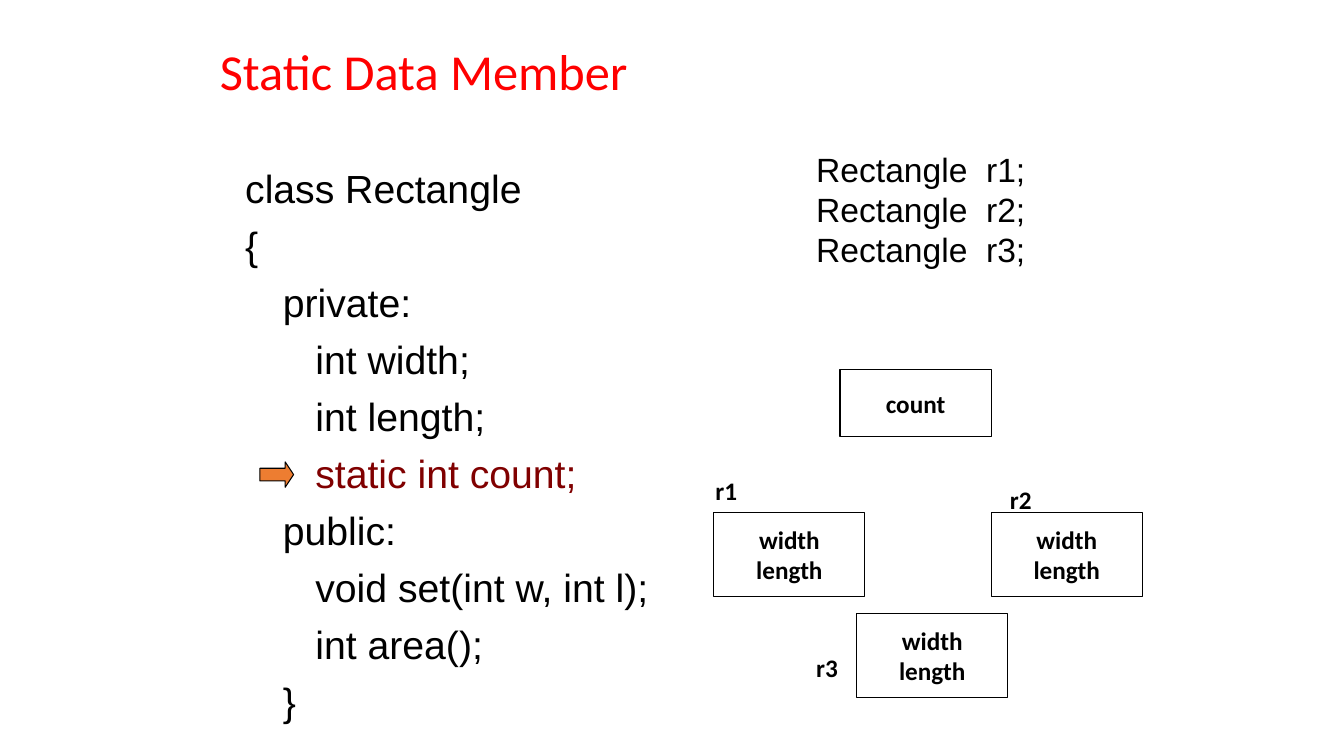
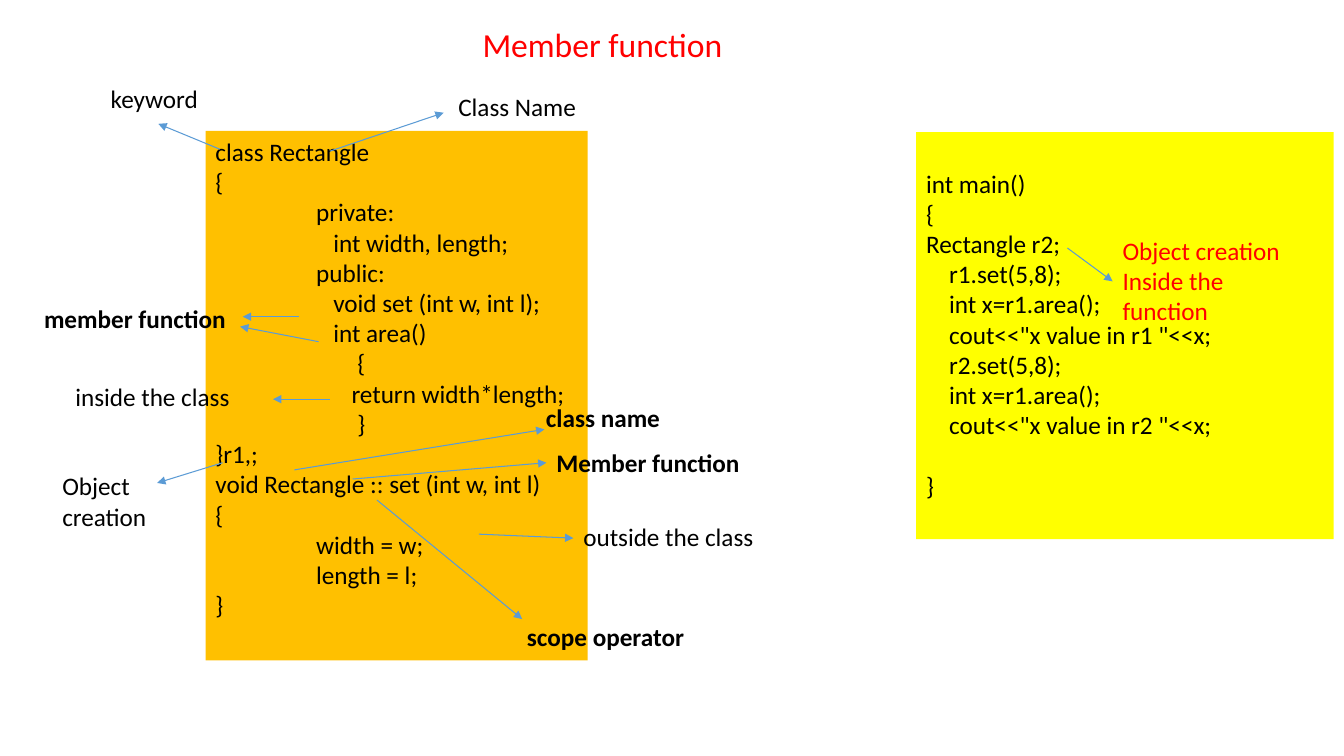
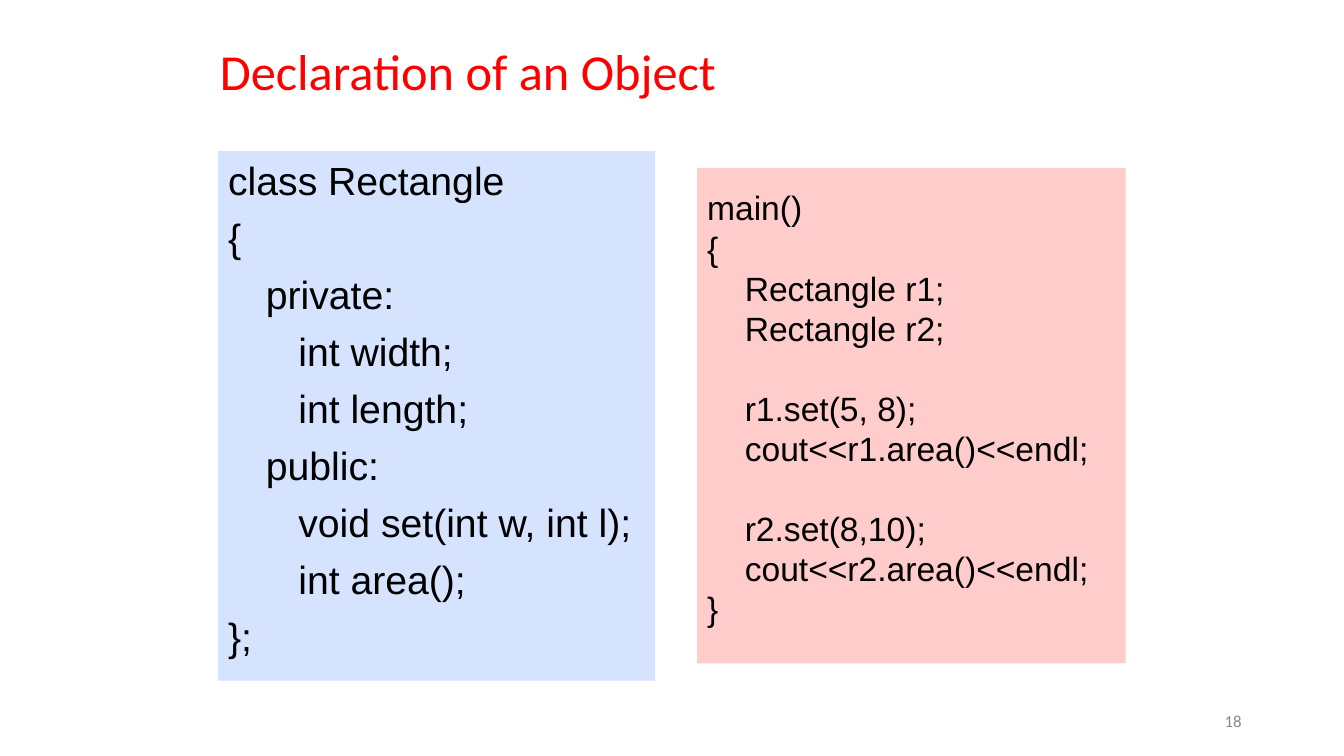
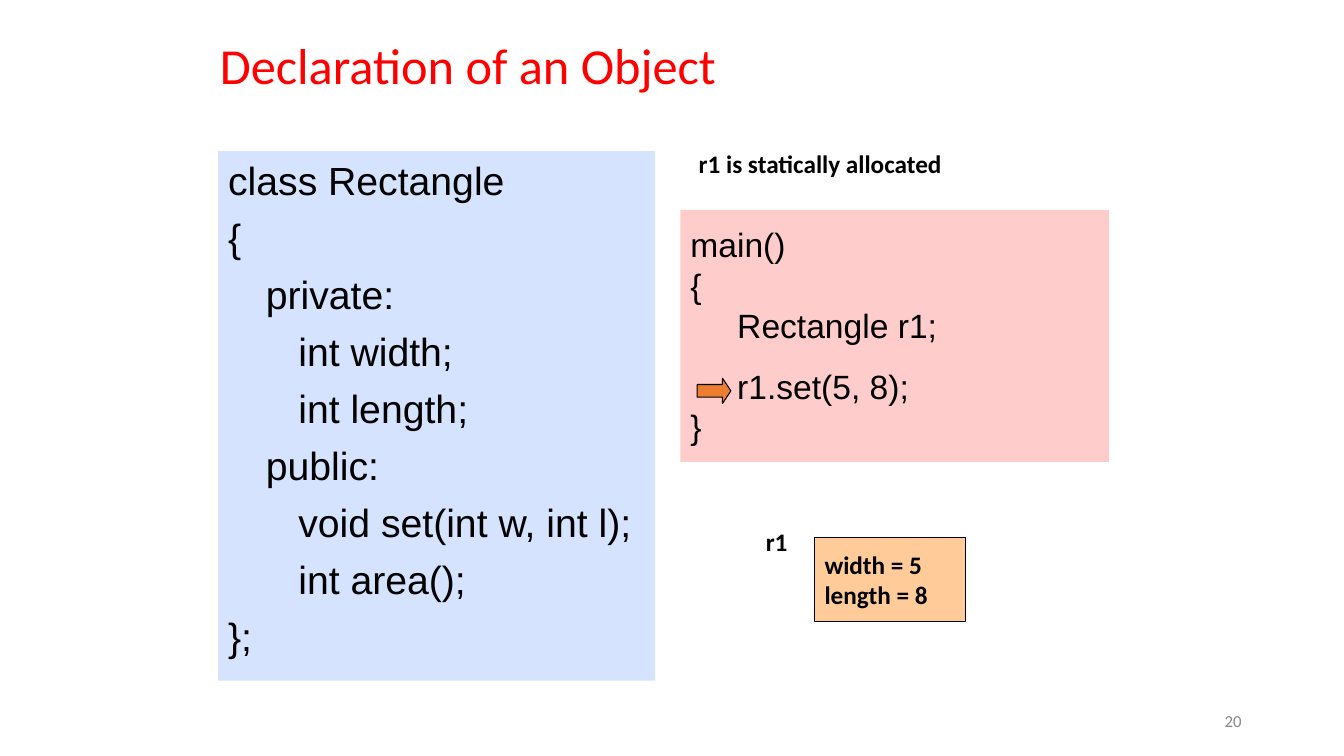
"""Build four slides on C++ classes: members, functions and objects."""
from lxml.etree import SubElement
from pptx import Presentation
from pptx.dml.color import RGBColor as Rgb
from pptx.enum.shapes import MSO_CONNECTOR as Conn, MSO_SHAPE as Kind
from pptx.enum.text import MSO_ANCHOR as Anchor, MSO_AUTO_SIZE as Fit, PP_ALIGN as Align
from pptx.oxml.ns import qn
from pptx.util import Cm, Pt

BLACK = Rgb(0x00, 0x00, 0x00)
WHITE = Rgb(0xFF, 0xFF, 0xFF)
RED = Rgb(0xFF, 0x00, 0x00)
MAROON = Rgb(0x80, 0x00, 0x00)
GOLD = Rgb(0xFF, 0xC0, 0x00)
YELLOW = Rgb(0xFF, 0xFF, 0x00)
SKY = Rgb(0xD5, 0xE3, 0xFF)
PINK = Rgb(0xFF, 0xCC, 0xCC)
PEACH = Rgb(0xFF, 0xCC, 0x99)
ORANGE = Rgb(0xED, 0x7D, 0x31)
BLUE = Rgb(0x5B, 0x9B, 0xD5)
GREY = Rgb(0x88, 0x88, 0x88)

HEAD = [(0, "class Rectangle"), (0, "{"), (0.95, "private:"),
        (1.77, "int width;"), (1.77, "int length;")]
TAIL = [(0.95, "public:"), (1.77, "void set(int w, int l);"), (1.77, "int area();")]
STATIC = HEAD + [(1.77, "static int count;")] + TAIL + [(0.95, "}")]
CLASS = HEAD + TAIL + [(0, "};")]
OBJECTS = [(0, f"Rectangle  r{n};") for n in (1, 2, 3)]

MEMBERS = [
    (0, "class Rectangle"), (0, "{"), (2.54, "private:"),
    (2.97, "int width, length;"), (2.54, "public:"),
    (2.97, "void set (int w, int l);"), (2.97, "int area()"),
    (3.58, "{"), (3.43, "return width*length;"), (3.58, "}"), (0, "}r1,;"),
    (0, "void Rectangle :: set (int w, int l)"), (0, "{"),
    (2.54, "width = w;"), (2.54, "length = l;"), (0, "}"),
]
CALLS = [
    (0, "int main()"), (0, "{"), (0, "Rectangle r2;"), (0.58, "r1.set(5,8);"),
    (0.58, "int x=r1.area();"), (0.58, 'cout<<"x value in r1 "<<x;'),
    (0.58, "r2.set(5,8);"), (0.58, "int x=r1.area();"),
    (0.58, 'cout<<"x value in r2 "<<x;'), (0, "}"),
]
MAIN_TWO = [
    (0, "main()"), (0, "{"), (0.95, "Rectangle r1;"), (0.95, "Rectangle r2;"),
    (0.95, "r1.set(5, 8);"), (0.95, "cout<<r1.area()<<endl;"),
    (0.95, "r2.set(8,10);"), (0.95, "cout<<r2.area()<<endl;"), (0, "}"),
]
MAIN_ONE = [(0, "main()"), (0, "{"), (1.18, "Rectangle r1;"),
            (1.18, "r1.set(5, 8);"), (0, "}")]

FIELDS = ["width", "length"]
BOXES = [(21.17, 9.31, 1.69, ["count"]), (17.99, 12.91, 2.12, FIELDS),
         (24.98, 12.91, 2.12, FIELDS), (21.59, 15.45, 2.12, FIELDS)]
NAMES = [(17.78, 11.85, "r1"), (25.2, 12.07, "r2"), (20.32, 16.3, "r3")]

NOTES = [
    (0.86, 7.52, 5.11, ["member function"], True, BLACK),
    (2.54, 1.96, 4.29, ["keyword"], False, BLACK),
    (11.3, 2.18, 4.29, ["Class Name"], False, BLACK),
    (1.65, 9.47, 5, ["inside the class"], False, BLACK),
    (14.45, 13, 5, ["outside the class"], False, BLACK),
    (13.51, 10, 3.6, ["class name"], True, BLACK),
    (13.77, 11.15, 5.18, ["Member function"], True, BLACK),
    (28.04, 5.79, 4.72, ["Object creation", "Inside the function"], False, RED),
    (1.32, 11.73, 4.72, ["Object", "creation"], False, BLACK),
    (13.03, 15.52, 4.7, ["scope operator"], True, BLACK),
]
LINKS = [
    (5.54, 3.76, 3.99, 3.12), (8.31, 3.81, 11.18, 2.84),
    (7.54, 7.98, 6.12, 7.98), (8.03, 8.61, 6.05, 8.23),
    (8.31, 10.06, 6.88, 10.06), (12.07, 13.46, 14.45, 13.56),
    (7.42, 11.84, 13.72, 10.82), (8.89, 12.07, 13.77, 11.66),
    (5.61, 11.66, 3.96, 12.17), (26.9, 6.25, 28.04, 7.09),
    (9.5, 12.6, 13.16, 15.6),
]

prs = Presentation()
prs.slide_width, prs.slide_height = Cm(33.87), Cm(19.05)


def style(par, size, color=BLACK, bold=False, face="Calibri"):
    """Set the font of one paragraph."""
    font = par.font
    font.name, font.size, font.bold = face, Pt(size), bold
    font.color.rgb = color


def frame(shape, top=0.13, anchor=Anchor.TOP):
    """Set the margins, wrap and anchor of a shape's text and return it."""
    body = shape.text_frame
    body.word_wrap, body.auto_size = True, Fit.NONE
    body.margin_left = body.margin_right = Cm(0.25)
    body.margin_top, body.margin_bottom = Cm(top), Cm(0.13)
    body.vertical_anchor = anchor
    return body


def pars(body, lines):
    """Write the lines and give each paragraph back."""
    body.text = "\n".join(lines)
    return body.paragraphs


def start(text, left=5.29, top=0.97, width=22.86, height=1.78, size=36):
    """Add a slide with its title."""
    slide = prs.slides.add_slide(prs.slide_layouts[5])
    title = slide.shapes.title
    title.left, title.top, title.width, title.height = map(Cm, (left, top, width, height))
    par = pars(frame(title, anchor=Anchor.MIDDLE), [text])[0]
    par.alignment, par.line_spacing = Align.LEFT, 0.9
    style(par, size, RED)
    return slide


def block(slide, kind, place, fill, edge=False):
    """Add a filled shape, with a thin black edge if asked."""
    shape = slide.shapes.add_shape(kind, *map(Cm, place))
    shape.shadow.inherit = False
    shape.fill.solid()
    shape.fill.fore_color.rgb = fill
    if edge:
        shape.line.color.rgb, shape.line.width = BLACK, Pt(0.75)
    else:
        shape.line.fill.background()
    return shape


def code(slide, place, fill, lines, size, face="Arial", gap=0, pitch=1,
         top=0.13, gaps={}, marks={}):
    """Add a panel of indented code."""
    body = frame(block(slide, Kind.RECTANGLE, place, fill), top)
    rows = pars(body, [text for _, text in lines])
    for n, (par, (indent, _)) in enumerate(zip(rows, lines)):
        style(par, size, marks.get(n, BLACK), face=face)
        par.alignment, par.line_spacing = Align.LEFT, pitch
        par.space_before = Pt(gaps.get(n, gap if n else 0))
        par._p.get_or_add_pPr().set("marL", str(Cm(indent)))


def box(slide, left, top, height, lines, fill=WHITE, align=Align.CENTER):
    """Add a memory box with bold lines."""
    shape = block(slide, Kind.RECTANGLE, (left, top, 3.81, height), fill, True)
    for par in pars(frame(shape, anchor=Anchor.MIDDLE), lines):
        style(par, 18, bold=True)
        par.alignment = align


def label(slide, left, top, width, lines, bold=True, color=BLACK, size=18,
          align=Align.LEFT, anchor=Anchor.TOP):
    """Add a short free text."""
    height = 0.25 + 0.77 * len(lines)
    shape = slide.shapes.add_textbox(*map(Cm, (left, top, width, height)))
    for par in pars(frame(shape, anchor=anchor), lines):
        style(par, size, color, bold)
        par.alignment = align


def pointer(slide, left, top):
    """Add the small orange arrow."""
    shape = block(slide, Kind.RIGHT_ARROW, (left, top, 0.85, 0.64), ORANGE, True)
    shape.adjustments[1] = 0.33


def link(slide, ends):
    """Add a thin line with an arrowhead at its end."""
    line = slide.shapes.add_connector(Conn.STRAIGHT, *map(Cm, ends))
    line.line.color.rgb, line.line.width = BLUE, Pt(0.75)
    SubElement(line.line._get_or_add_ln(), qn("a:tailEnd"), type="triangle")
    SubElement(line._element.spPr, qn("a:effectLst"))


def number(slide, text):
    """Add the slide number."""
    label(slide, 23.92, 17.65, 7.62, [text], False, GREY, 12, Align.RIGHT, Anchor.MIDDLE)


def sheet(slide, place, fill, lines, **more):
    """Add a large code panel."""
    code(slide, place, fill, lines, 28, gap=7.1, **more)


def side(slide, place, fill, lines, **more):
    """Add a tightly set code panel."""
    code(slide, place, fill, lines, 24, gap=5.8, pitch=0.8, **more)


def static():
    """Build the slide on static data."""
    slide = start("Static Data Member")
    sheet(slide, (5.93, 4.02, 11.01, 14.18), WHITE, STATIC, marks={5: MAROON})
    side(slide, (20.32, 3.81, 5.93, 3.18), WHITE, OBJECTS)
    pointer(slide, 6.55, 11.64)
    for item in BOXES:
        box(slide, *item)
    for left, top, name in NAMES:
        label(slide, left, top, 1.2, [name])


def members():
    """Build the slide on member functions."""
    slide = start("Member function", 11.91, 0.53, 6.63, 1.27, 24)
    code(slide, (5.18, 3.3, 9.63, 13.34), GOLD, MEMBERS, 18, "Calibri")
    code(slide, (23.09, 3.33, 10.52, 10.26), YELLOW, CALLS, 18, "Calibri",
         top=0.9, gaps={9: 22})
    for ends in LINKS:
        link(slide, ends)
    for note in NOTES:
        label(slide, *note)


def objects():
    """Build the two slides on objects."""
    for page, top in (("18", 0.97), ("20", 0.84)):
        slide = start("Declaration of an Object", top=top)
        sheet(slide, (5.5, 3.81, 11.01, 13.34), SKY, CLASS)
        number(slide, page)
        if page == "18":
            side(slide, (17.57, 4.23, 10.8, 12.49), PINK, MAIN_TWO,
                 top=0.68, gaps={4: 33.7, 6: 33.7})
        else:
            side(slide, (17.15, 5.29, 10.8, 6.35), PINK, MAIN_ONE,
                 top=0.56, gaps={3: 20.1})
            label(slide, 17.36, 3.6, 6.9, ["r1 is statically allocated"])
            label(slide, 19.05, 13.14, 1.2, ["r1"])
            box(slide, 20.53, 13.55, 2.12, ["width = 5", "length = 8"], PEACH, Align.LEFT)
            pointer(slide, 17.57, 9.53)


def main():
    """Build and save the slides."""
    static()
    members()
    objects()
    prs.save("out.pptx")


if __name__ == "__main__":
    main()
